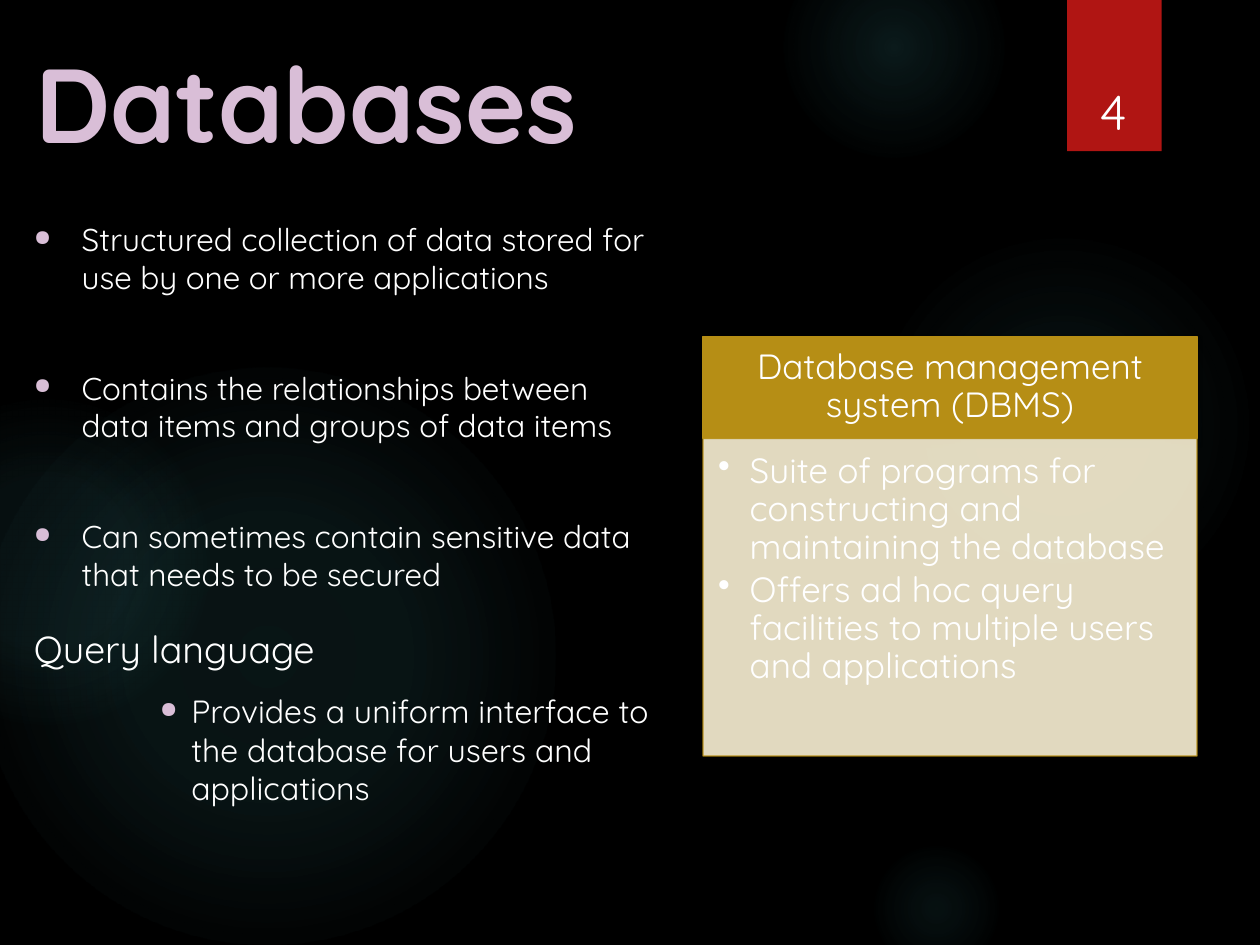
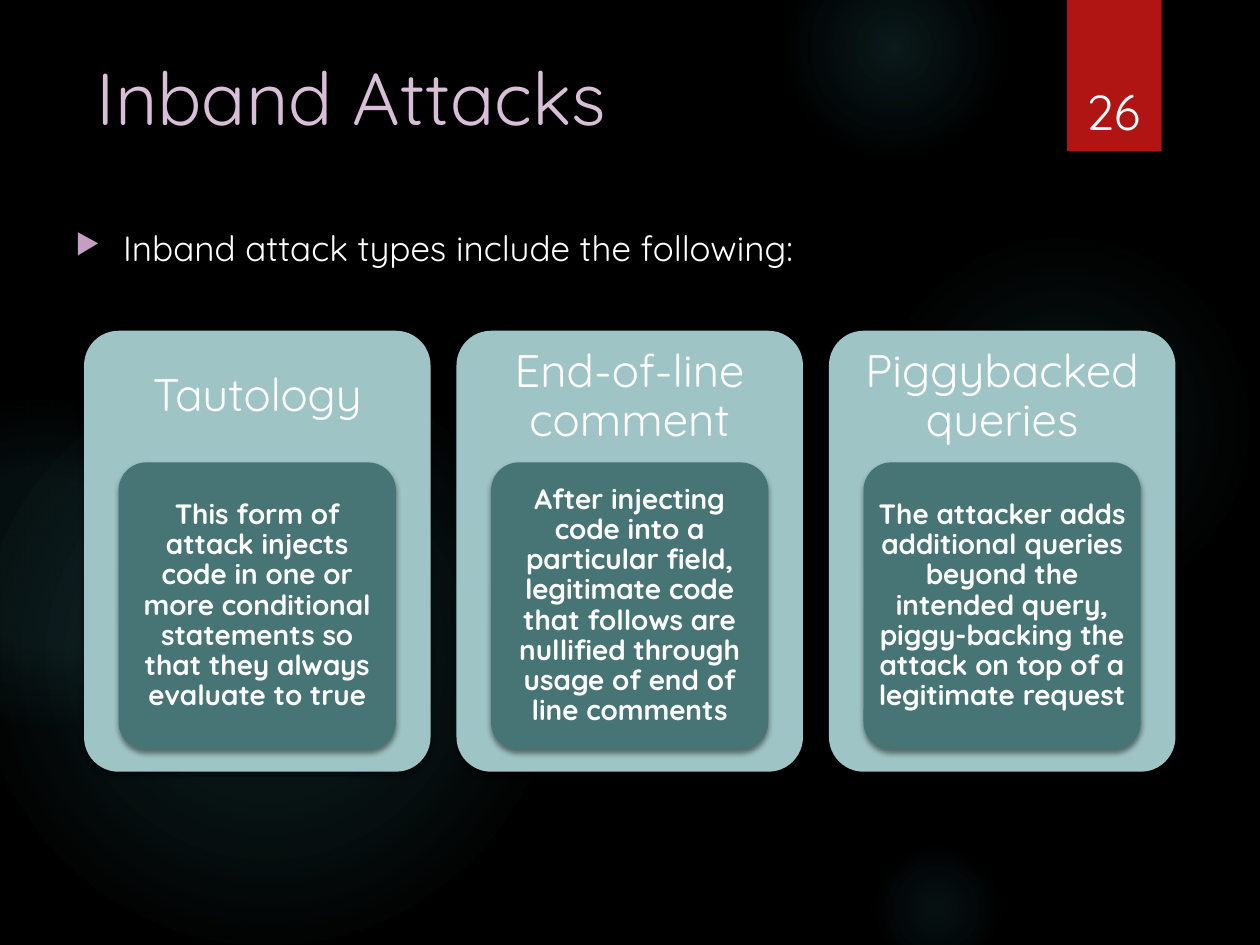
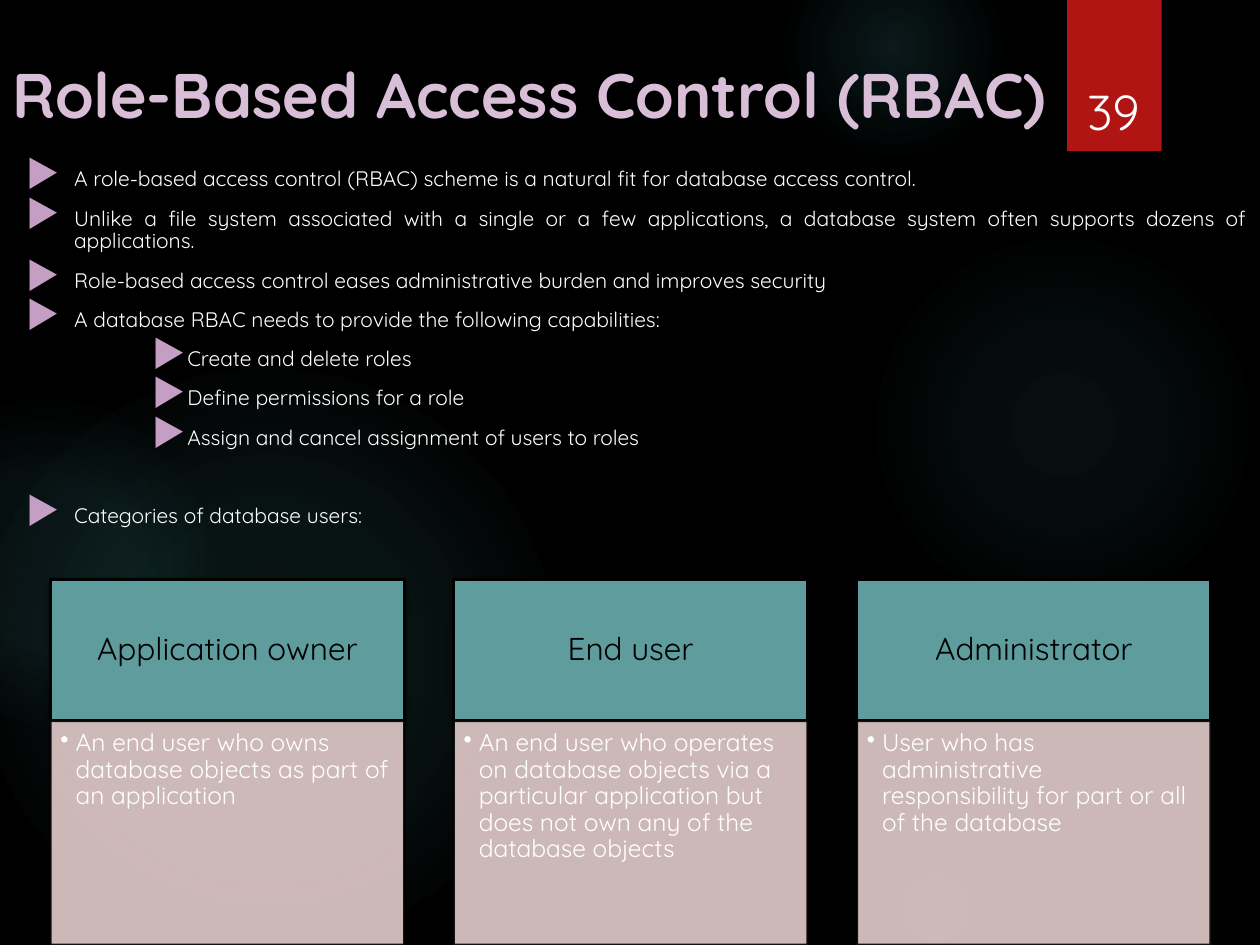
from dataclasses import dataclass
from typing import NamedTuple, Optional, Sequence, Union

from lxml.etree import SubElement
from pptx import Presentation
from pptx.dml.color import RGBColor
from pptx.enum.shapes import MSO_SHAPE as Preset
from pptx.enum.text import MSO_ANCHOR as Anchor, PP_ALIGN as Align
from pptx.oxml.ns import qn
from pptx.util import Emu, Inches, Pt

# Theme
FONT = "Quicksand"
BLACK = RGBColor(0x00, 0x00, 0x00)
WHITE = RGBColor(0xFF, 0xFF, 0xFF)
LILAC = RGBColor(0xD9, 0xBE, 0xD7)
MAUVE = RGBColor(0xC5, 0x9E, 0xC3)
RED = RGBColor(0xB0, 0x15, 0x13)
GLOW = RGBColor(0x50, 0xB9, 0xC1)
GOLD = RGBColor(0xB6, 0x8E, 0x15)
CREAM = RGBColor(0xFA, 0xF1, 0xD4)
PALE_TEAL = RGBColor(0x9F, 0xC4, 0xC5)
DARK_TEAL = RGBColor(0x47, 0x75, 0x76)
TEAL = RGBColor(0x5F, 0x9C, 0x9D)
ROSE = RGBColor(0xE4, 0xCC, 0xCC)

# Grid: 100 columns by 75 rows
SLIDE_WIDTH, SLIDE_HEIGHT = Inches(10), Inches(7.5)
COLUMN, ROW = SLIDE_WIDTH // 100, SLIDE_HEIGHT // 75
DEFAULT_INSETS = (1, 0.5, 1, 0.5)


class Area(NamedTuple):
    column: float
    row: float
    columns: float
    rows: float

    def lengths(self) -> tuple:
        return (Emu(round(self.column * COLUMN)), Emu(round(self.row * ROW)),
                Emu(round(self.columns * COLUMN)), Emu(round(self.rows * ROW)))


class Glow(NamedTuple):
    area: Area
    stops: tuple  # (position, opacity) in percent


class Bullet(NamedTuple):
    symbol: str
    color: Optional[RGBColor] = None
    percent: int = 100


@dataclass
class Line:
    text: str
    size: float
    bullet: Optional[Bullet] = None
    margin: float = 0
    hanging: float = 0
    before: float = 0
    after: float = 0


class Card(NamedTuple):
    heading: str
    detail: str


GLOWS = [
    Glow(Area(68.9, 18.3, 30.8, 30.8), ((0, 7), (36, 6), (69, 0))),
    Glow(Area(62.2, -5, 17.5, 17.5), ((0, 14), (36, 7), (73, 0))),
    Glow(Area(68.9, 66.7, 10.8, 10.8), ((0, 9), (36, 5), (66, 0))),
    Glow(Area(-1.7, 29.2, 45.8, 45.8), ((0, 11), (36, 10), (75, 0))),
    Glow(Area(-9.2, 31.7, 25.8, 25.8), ((0, 8), (36, 8), (72, 0))),
]
DOT = Bullet("●", LILAC, 70)
ARROW = Bullet("▶", MAUVE, 80)
LARGE_ARROW = Bullet("▶", MAUVE, 180)
PLAIN_DOT = Bullet("•")


# Shapes
def add_color(parent, color: RGBColor, opacity: float) -> None:
    element = SubElement(parent, qn("a:srgbClr"), val=str(color))
    SubElement(element, qn("a:alpha"), val=str(round(opacity * 1000)))


def add_shadow(shape) -> None:
    effects = shape._element.spPr.find(qn("a:effectLst"))
    shadow = SubElement(effects, qn("a:outerShdw"), blurRad=str(Pt(3)), dist=str(Pt(2)),
                        dir="5400000", algn="ctr", rotWithShape="0")
    add_color(shadow, BLACK, 45)


def add_block(slide, preset, area: Area, fill: RGBColor, line: Optional[RGBColor] = None,
              line_width: float = 0.75, opacity: float = 100, shadow: bool = True):
    shape = slide.shapes.add_shape(preset, *area.lengths())
    shape.shadow.inherit = False
    shape.fill.solid()
    shape.fill.fore_color.rgb = fill
    if line is None:
        shape.line.fill.background()
    else:
        shape.line.color.rgb = line
        shape.line.width = Pt(line_width)
    if opacity < 100:
        for color in list(shape._element.spPr.iter(qn("a:srgbClr"))):
            SubElement(color, qn("a:alpha"), val=str(round(opacity * 1000)))
    if shadow:
        add_shadow(shape)
    if preset == Preset.ROUNDED_RECTANGLE:
        shape.adjustments[0] = 0.1
    return shape


def add_glow(slide, glow: Glow) -> None:
    shape = add_block(slide, Preset.OVAL, glow.area, GLOW, shadow=False)
    properties = shape._element.spPr
    solid = properties.find(qn("a:solidFill"))
    gradient = properties.makeelement(qn("a:gradFill"), {"rotWithShape": "1"})
    properties.replace(solid, gradient)
    stops = SubElement(gradient, qn("a:gsLst"))
    for position, opacity in glow.stops:
        stop = SubElement(stops, qn("a:gs"), pos=str(position * 1000))
        add_color(stop, GLOW, opacity)
    circle = SubElement(gradient, qn("a:path"), path="circle")
    SubElement(circle, qn("a:fillToRect"), l="50000", t="50000", r="50000", b="50000")


# Text
def add_bullet(paragraph, line: Line) -> None:
    properties = paragraph._p.get_or_add_pPr()
    properties.set("marL", str(Inches(line.margin)))
    properties.set("indent", str(-Inches(line.hanging)))
    if line.bullet is None:
        return
    if line.bullet.color is not None:
        color = SubElement(properties, qn("a:buClr"))
        SubElement(color, qn("a:srgbClr"), val=str(line.bullet.color))
    SubElement(properties, qn("a:buSzPct"), val=str(line.bullet.percent * 1000))
    SubElement(properties, qn("a:buChar"), char=line.bullet.symbol)


def write(shape, content: Union[str, Sequence[Line]], *, size: float = 18,
          color: RGBColor = WHITE, bold: bool = False, align=Align.LEFT, anchor=Anchor.TOP,
          spacing: float = 1.0, insets: tuple = DEFAULT_INSETS) -> None:
    frame = shape.text_frame
    frame.word_wrap = True
    frame.vertical_anchor = anchor
    left, top, right, bottom = insets
    frame.margin_left, frame.margin_right = round(left * COLUMN), round(right * COLUMN)
    frame.margin_top, frame.margin_bottom = round(top * ROW), round(bottom * ROW)
    lines = [Line(content, size)] if isinstance(content, str) else content
    for index, line in enumerate(lines):
        paragraph = frame.add_paragraph() if index else frame.paragraphs[0]
        add_bullet(paragraph, line)
        paragraph.alignment = align
        paragraph.line_spacing = spacing
        paragraph.space_before = Pt(line.before)
        paragraph.space_after = Pt(line.after)
        run = paragraph.add_run()
        run.text = line.text
        run.font.name = FONT
        run.font.size = Pt(line.size)
        run.font.bold = bold
        run.font.color.rgb = color


def add_text(slide, area: Area, content: Union[str, Sequence[Line]], **text_format) -> None:
    write(slide.shapes.add_textbox(*area.lengths()), content, **text_format)


# Shared slide parts
def start_slide(presentation, number: int, title: str, area: Area, size: float,
                bold: bool = False):
    slide = presentation.slides.add_slide(presentation.slide_layouts[6])
    for glow in GLOWS:
        add_glow(slide, glow)
    add_block(slide, Preset.RECTANGLE, Area(84.7, 0, 7.5, 12), RED)
    add_text(slide, area, title, size=size, color=LILAC, bold=bold)
    add_text(slide, Area(84.9, 3.2, 6.9, 8.4), str(number), size=28,
             align=Align.CENTER, anchor=Anchor.BOTTOM)
    return slide


def add_panel(slide, area: Area, header_rows: float, heading: str, details: Sequence[Line], *,
              header_fill: RGBColor, body_fill: RGBColor, line: RGBColor, line_width: float,
              heading_size: float, heading_color: RGBColor,
              header_insets: tuple, body_insets: tuple) -> None:
    header_area = area._replace(rows=header_rows)
    body_area = area._replace(row=area.row + header_rows, rows=area.rows - header_rows)
    header = add_block(slide, Preset.RECTANGLE, header_area, header_fill, line, line_width)
    write(header, heading, size=heading_size, color=heading_color, align=Align.CENTER,
          anchor=Anchor.MIDDLE, spacing=0.9, insets=header_insets)
    body = add_block(slide, Preset.RECTANGLE, body_area, body_fill, line, line_width,
                     opacity=90, shadow=False)
    write(body, details, spacing=0.9, insets=body_insets)


# Slides
def add_databases(presentation) -> None:
    slide = start_slide(presentation, 4, "Databases", Area(1.8, 2.6, 82, 13.9), 60, bold=True)
    points = [
        "Structured collection of data stored for use by one or more applications",
        "Contains the relationships between data items and groups of data items",
        "Can sometimes contain sensitive data that needs to be secured",
    ]
    lines = [Line(point, 18, DOT, 0.38, 0.38, before=41.5 if index else 0)
             for index, point in enumerate(points)]
    lines.append(Line("Query language", 21.5, margin=0.38, hanging=0.38, before=19, after=12))
    lines.append(Line("Provides a uniform interface to the database for users and applications",
                      18.3, DOT, 1.25, 0.25))
    add_text(slide, Area(1.7, 17, 50.8, 55.1), lines)

    features = ["Suite of programs for constructing and maintaining the database",
                "Offers ad hoc query facilities to multiple users and applications"]
    add_panel(slide, Area(55.8, 26.7, 39.2, 33.3), 8.1, "Database management system (DBMS)",
              [Line(feature, 20, PLAIN_DOT, 0.25, 0.25, after=3) for feature in features],
              header_fill=GOLD, body_fill=CREAM, line=GOLD, line_width=0.75,
              heading_size=20, heading_color=WHITE,
              header_insets=(1.6, 0.9, 1.6, 0.9), body_insets=(1.2, 1.2, 1.6, 1.7))


def add_inband_attacks(presentation) -> None:
    slide = start_slide(presentation, 26, "Inband Attacks", Area(6.7, 3.6, 77, 13.9), 42)
    add_text(slide, Area(5, 17.5, 90, 8),
             [Line("Inband attack types include the following:", 20, ARROW, 0.38, 0.38)])
    cards = [
        Card("Tautology", "This form of attack injects code in one or more conditional "
             "statements so that they always evaluate to true"),
        Card("End-of-line comment", "After injecting code into a particular field, legitimate "
             "code that follows are nullified through usage of end of line comments"),
        Card("Piggybacked queries", "The attacker adds additional queries beyond the intended "
             "query, piggy-backing the attack on top of a legitimate request"),
    ]
    left, width, gap, inner_margin = 6.67, 27.5, 2.06, 2.75
    centered = dict(align=Align.CENTER, anchor=Anchor.MIDDLE, spacing=0.9)
    for index, card in enumerate(cards):
        outer = Area(left + index * (width + gap), 26.25, width, 35)
        inner = Area(outer.column + inner_margin, 36.7, width - 2 * inner_margin, 22.8)
        add_block(slide, Preset.ROUNDED_RECTANGLE, outer, PALE_TEAL)
        add_text(slide, outer._replace(rows=10.5), card.heading, size=26,
                 insets=(1.1, 1.1, 1.1, 1.1), **centered)
        detail = add_block(slide, Preset.ROUNDED_RECTANGLE, inner, DARK_TEAL)
        write(detail, card.detail, size=16, bold=True, insets=(0.4, 0.3, 0.4, 0.3), **centered)


def add_role_based_access(presentation) -> None:
    slide = start_slide(presentation, 39, "Role-Based Access Control (RBAC)",
                        Area(0, 3.9, 100, 8.4), 36, bold=True)
    points = [
        "A role-based access control (RBAC) scheme is a natural fit for database access control.",
        "Unlike a file system associated with a single or a few applications, a database system "
        "often supports dozens of applications.",
        "Role-based access control eases administrative burden and improves security",
        "A database RBAC needs to provide the following capabilities:",
    ]
    capabilities = ["Create and delete roles", "Define permissions for a role",
                    "Assign and cancel assignment of users to roles"]
    lines = [Line(point, 12, LARGE_ARROW, 0.38, 0.38, before=9.5 if index else 0)
             for index, point in enumerate(points)]
    lines += [Line(capability, 12, LARGE_ARROW, 1.25, 0.25, before=9.5)
              for capability in capabilities]
    lines.append(Line("Categories of database users:", 12, LARGE_ARROW, 0.38, 0.38, before=32))
    add_text(slide, Area(1.1, 12.9, 98.9, 31.4), lines, align=Align.JUSTIFY, spacing=0.9)

    users = [
        Card("Application owner", "An end user who owns database objects as part of an "
             "application"),
        Card("End user", "An end user who operates on database objects via a particular "
             "application but does not own any of the database objects"),
        Card("Administrator", "User who has administrative responsibility for part or all of "
             "the database"),
    ]
    left, width, gap = 4, 28.1, 3.9
    for index, user in enumerate(users):
        add_panel(slide, Area(left + index * (width + gap), 46, width, 29), 11.2, user.heading,
                  [Line(user.detail, 14, PLAIN_DOT, 0.12, 0.12)],
                  header_fill=TEAL, body_fill=ROSE, line=BLACK, line_width=1.5,
                  heading_size=18, heading_color=BLACK,
                  header_insets=(1.4, 0.8, 1.4, 0.8), body_insets=(0.8, 0.8, 1.1, 1.2))


def main() -> None:
    presentation = Presentation()
    presentation.slide_width, presentation.slide_height = SLIDE_WIDTH, SLIDE_HEIGHT
    background = presentation.slide_master.background.fill
    background.solid()
    background.fore_color.rgb = BLACK
    add_databases(presentation)
    add_inband_attacks(presentation)
    add_role_based_access(presentation)
    presentation.save("out.pptx")


if __name__ == "__main__":
    main()
